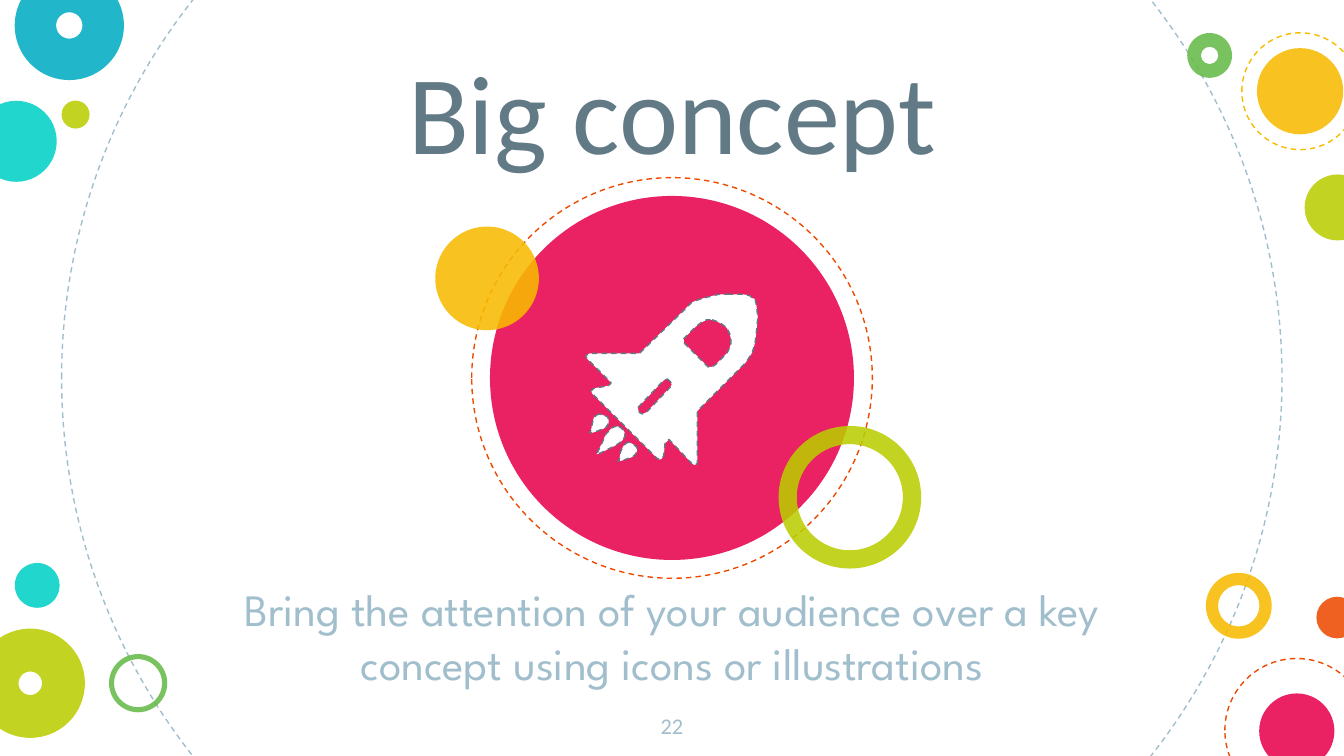
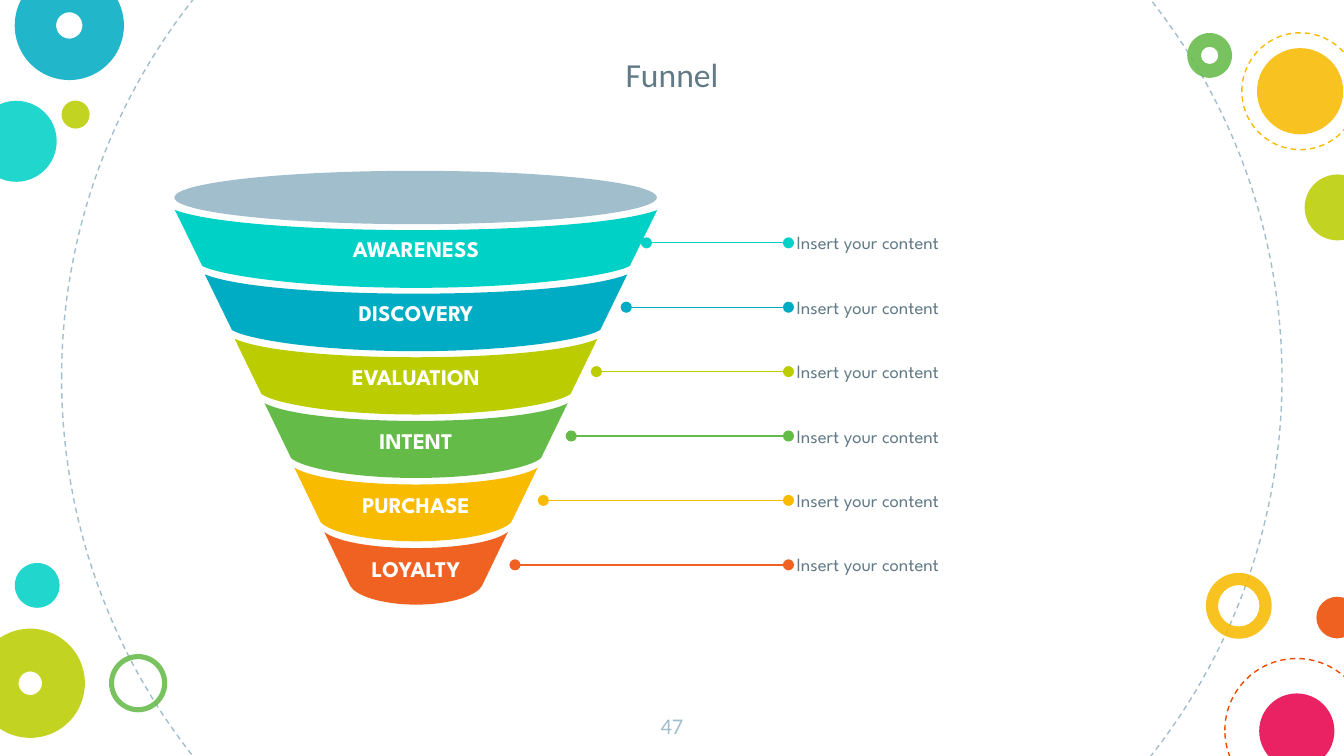
from dataclasses import dataclass
from typing import Any, NamedTuple

from lxml import etree
from pptx import Presentation
from pptx import util as u
from pptx.dml.color import RGBColor
from pptx.enum import dml, shapes, text
from pptx.oxml.ns import qn


# Theme: colours, fonts and type sizes
@dataclass(frozen=True)
class Theme:
    slate: str = "617A86"
    mist: str = "A1BECC"
    turquoise: str = "00D1C6"
    blue: str = "00ACC3"
    lime: str = "BBCD00"
    green: str = "65BB48"
    yellow: str = "F8BB00"
    red: str = "ED4A00"
    orange: str = "EF6222"
    pink: str = "E8004C"
    white: str = "FFFFFF"
    heading: str = "Calibri"
    body: str = "League Spartan"
    concept_size: float = 60
    lead_size: float = 24
    title_size: float = 18
    label_size: float = 12
    note_size: float = 10
    line_width: float = 0.75
    opacity: int = 87000


THEME = Theme()
Points = list[tuple[float, float]]


class Circle(NamedTuple):
    left: float
    top: float
    size: float
    color: str
    hole: float = 0  # ring thickness; zero means a plain disc
    dashed: bool = False


class Stage(NamedTuple):
    label: str
    color: str
    link_start: float


class Style(NamedTuple):
    font: str
    size: float
    color: str
    align: Any = text.PP_ALIGN.CENTER
    anchor: Any = text.MSO_ANCHOR.TOP
    margins: tuple[float, float] = (7.2, 7.2)
    bold: bool = False


CONCEPT = Style(THEME.heading, THEME.concept_size, THEME.slate, anchor=text.MSO_ANCHOR.BOTTOM)
TITLE = CONCEPT._replace(size=THEME.title_size)
LEAD = Style(THEME.body, THEME.lead_size, THEME.mist)
PAGE_NUMBER = Style(THEME.heading, THEME.label_size, THEME.mist)
BAND_LABEL = Style(THEME.body, THEME.label_size, THEME.white,
                   anchor=text.MSO_ANCHOR.MIDDLE, margins=(5, 2.9), bold=True)
NOTE = Style(THEME.body, THEME.note_size, THEME.slate, text.PP_ALIGN.LEFT,
             text.MSO_ANCHOR.MIDDLE, (0, 0))

BACKDROP = [
    Circle(33, -124.4, 653.8, THEME.mist, dashed=True),
    Circle(-13, 54, 43.4, THEME.turquoise),
    Circle(646, 306.9, 35.3, THEME.yellow, 0.186),
    Circle(7.9, -15.6, 58.5, THEME.blue, 0.379),
    Circle(33, 53.9, 15, THEME.lime),
    Circle(656.2, 352.8, 77, THEME.red, dashed=True),
    Circle(58.4, 350.4, 31.2, THEME.green, 0.088),
    Circle(705.2, 319.7, 22.3, THEME.red),
    Circle(-13, 336.8, 58.5, THEME.lime, 0.392),
    Circle(674.6, 371.5, 40.3, THEME.pink),
    Circle(636, 17.7, 24, THEME.green, 0.306),
    Circle(673.4, 25.8, 46.2, THEME.yellow),
    Circle(698.9, 93.5, 35.3, THEME.lime),
    Circle(665.3, 17.6, 62.6, THEME.yellow, dashed=True),
    Circle(7.9, 301.6, 24, THEME.turquoise),
]

EMBLEM = [
    Circle(262.5, 105, 195, THEME.pink),
    Circle(252.7, 95.2, 214.6, THEME.red, dashed=True),
    Circle(233.2, 121.4, 55.5, THEME.yellow),
    Circle(417.1, 228.2, 76.4, THEME.lime, 0.128),
]

# Rocket outlines on a grid of 0.72 pt cells
HULL = [(107, 0), (99, 0), (91, 2), (84, 4), (79, 6), (76, 9), (40, 44), (3, 44), (1, 45),
        (0, 46), (1, 48), (19, 66), (17, 68), (6, 70), (4, 72), (5, 74), (53, 122),
        (55, 123), (57, 122), (58, 120), (59, 111), (62, 108), (79, 126), (81, 127),
        (83, 126), (83, 124), (83, 87), (118, 52), (121, 48), (124, 43), (126, 36),
        (127, 28), (128, 17), (127, 8), (126, 4), (125, 3), (124, 3), (122, 1),
        (117, 0), (110, 0)]
WINDOW = [(94, 19), (97, 20), (101, 22), (105, 25), (107, 29), (108, 33), (108, 37),
          (107, 40), (105, 44), (97, 52), (94, 54), (91, 54), (89, 52), (75, 38),
          (73, 36), (73, 33), (75, 31), (82, 24), (86, 21), (90, 19)]
SLOT = [(61, 63), (63, 65), (64, 67), (63, 69), (45, 88), (42, 89), (40, 88), (39, 86),
        (39, 84), (40, 83), (58, 64)]
MIDDLE_FLAME = [(23, 98), (20, 99), (17, 102), (15, 104), (12, 111), (9, 117), (8, 119),
                (11, 118), (17, 115), (23, 112), (27, 109), (29, 106), (29, 103),
                (28, 101), (26, 99)]
LOWER_FLAME = [(32, 110), (30, 111), (28, 113), (26, 117), (25, 123), (24, 124), (26, 124),
               (32, 122), (35, 121), (37, 119), (38, 117), (38, 114), (36, 112), (34, 111)]
LEFT_FLAME = [(10, 89), (8, 90), (6, 92), (5, 96), (4, 101), (3, 103), (5, 103), (8, 102),
              (13, 100), (15, 99), (17, 96), (17, 93), (16, 91), (13, 90)]
ROCKET = [[HULL, WINDOW, SLOT], [MIDDLE_FLAME], [LOWER_FLAME], [LEFT_FLAME]]

STAGES = [
    Stage("AWARENESS", THEME.turquoise, 346.3),
    Stage("DISCOVERY", THEME.blue, 335.5),
    Stage("EVALUATION", THEME.lime, 319.5),
    Stage("INTENT", THEME.green, 306),
    Stage("PURCHASE", THEME.yellow, 291.1),
    Stage("LOYALTY", THEME.orange, 275.9),
]
FUNNEL_CENTER, FUNNEL_TOP, STAGE_PITCH = 222.9, 112.5, 34.5
LINK_TOP, LINK_END, NOTE_LEFT, NOTE_TOP = 130.1, 422.4, 426.8, 117.7


# Formatting helpers
def set_values(target: Any, values: dict[str, Any]) -> None:
    for name, value in values.items():
        setattr(target, name, value)


def place(box: Any, left: float, top: float, width: float, height: float) -> None:
    set_values(box, {"left": u.Pt(left), "top": u.Pt(top),
                     "width": u.Pt(width), "height": u.Pt(height)})


def write(box: Any, words: str, style: Style) -> None:
    frame = box.text_frame
    across, down = (u.Pt(margin) for margin in style.margins)
    set_values(frame, {
        "word_wrap": True, "auto_size": text.MSO_AUTO_SIZE.NONE,
        "vertical_anchor": style.anchor, "margin_left": across, "margin_right": across,
        "margin_top": down, "margin_bottom": down})
    para = frame.paragraphs[0]
    set_values(para, {"alignment": style.align, "space_before": u.Pt(0)})
    span = para.add_run()
    span.text = words
    set_values(span.font, {"name": style.font, "size": u.Pt(style.size), "bold": style.bold})
    span.font.color.rgb = RGBColor.from_string(style.color)


def paint_line(line: Any, color: str, dashed: bool = False) -> None:
    line.color.rgb = RGBColor.from_string(color)
    line.width = u.Pt(THEME.line_width)
    if dashed:
        line.dash_style = dml.MSO_LINE.DASH


def paint(shape: Any, fill: str | None, dash: str | None = None) -> None:
    shape.shadow.inherit = False
    if fill:
        shape.fill.solid()
        shape.fill.fore_color.rgb = RGBColor.from_string(fill)
    else:
        shape.fill.background()
    if dash:
        paint_line(shape.line, dash, dashed=True)
    else:
        shape.line.fill.background()


# Drawing functions
def draw_circle(page: Any, circle: Circle) -> Any:
    kind = shapes.MSO_SHAPE.DONUT if circle.hole else shapes.MSO_SHAPE.OVAL
    shape = page.shapes.add_shape(kind, u.Pt(circle.left), u.Pt(circle.top),
                                  u.Pt(circle.size), u.Pt(circle.size))
    if circle.hole:
        shape.adjustments[0] = circle.hole
    if circle.dashed:
        paint(shape, None, circle.color)
    else:
        paint(shape, circle.color)
        tint = shape.element.find(".//" + qn("a:srgbClr"))
        etree.SubElement(tint, qn("a:alpha"), val=str(THEME.opacity))
    return shape


def draw_outline(page: Any, contours: list[Points], left: float, top: float, cell: float) -> Any:
    first = contours[0]
    builder = page.shapes.build_freeform(*first[0], scale=u.Pt(cell))
    builder.add_line_segments(first[1:], close=True)
    for contour in contours[1:]:
        builder.move_to(*contour[0])
        builder.add_line_segments(contour[1:], close=True)
    return builder.convert_to_shape(u.Pt(left), u.Pt(top))


def draw_page_number(page: Any, number: int) -> None:
    box = page.shapes.add_textbox(u.Pt(341.6), u.Pt(374.4), u.Pt(36.7), u.Pt(31))
    write(box, str(number), PAGE_NUMBER)


def draw_backdrop(deck: Any, page: Any) -> None:
    """Build the circles and hand them to the master, behind its placeholders."""
    tree = deck.slide_master.shapes.element
    for index, circle in enumerate(BACKDROP):
        element = draw_circle(page, circle).element
        element.nvSpPr.cNvPr.set("id", str(100 + index))
        tree.insert(2 + index, element)


def draw_band(page: Any, index: int, top: float) -> Any:
    """Draw one funnel band: curved rim, straight right side, curved base."""
    upper, lower = 129.2 - 16 * index, 114.5 - 15.85 * index
    sag, corner, depth = 10.8 - 0.43 * index, 30 - 0.2 * index, 41.7 - 0.55 * index
    rim = [(upper, 0), (0.85 * upper, 0.67 * sag), (0.42 * upper, sag)]
    base = [(lower, corner), (0.92 * lower, corner + 5), (0.53 * lower, depth)]
    frame = ([(-x, y) for x, y in rim] + [(0, sag)] + rim[::-1]
             + base + [(0, depth)] + [(-x, y) for x, y in reversed(base)])
    band = draw_outline(page, [[(100 * x, 100 * y) for x, y in frame]],
                        FUNNEL_CENTER, top, 0.01)
    # Merge each three line steps of the rim and base into one Bezier step
    steps = list(band.element.iter(qn("a:lnTo")))
    for first in (0, 3, 7, 10):
        bend = etree.Element(qn("a:cubicBezTo"))
        steps[first].addprevious(bend)
        for step in steps[first:first + 3]:
            bend.append(step[0])
            step.getparent().remove(step)
    return band


def draw_link(page: Any, start: float, end: float, top: float, color: str) -> None:
    link = page.shapes.add_connector(shapes.MSO_CONNECTOR.STRAIGHT,
                                     u.Pt(start), u.Pt(top), u.Pt(end), u.Pt(top))
    paint_line(link.line, color)
    properties = link.element.spPr
    for end_tag in ("a:headEnd", "a:tailEnd"):
        etree.SubElement(properties.find(qn("a:ln")), qn(end_tag), type="oval")
    etree.SubElement(properties, qn("a:effectLst"))


# Slides
def build_concept(deck: Any) -> None:
    page = deck.slides.add_slide(deck.slide_layouts[0])
    draw_backdrop(deck, page)
    title, lead = page.placeholders
    place(title, 102.7, 10.8, 514.8, 91.4)
    write(title, "Big concept", CONCEPT)
    place(lead, 102.6, 304.6, 514.8, 61.9)
    write(lead, "Bring the attention of your audience over a key concept "
                "using icons or illustrations", LEAD)
    for circle in EMBLEM:
        draw_circle(page, circle)
    for contours in ROCKET:
        part = draw_outline(page, contours, 313.8, 157.7, 0.72)
        paint(part, THEME.white, THEME.slate)
    draw_page_number(page, 22)


def build_funnel(deck: Any) -> None:
    page = deck.slides.add_slide(deck.slide_layouts[5])
    title = page.shapes.title
    place(title, 152.3, 7.2, 415.4, 50.4)
    write(title, "Funnel", TITLE)
    draw_page_number(page, 47)
    # Bands with their links and notes
    for index, stage in enumerate(STAGES):
        shift = index * STAGE_PITCH
        band = draw_band(page, index, FUNNEL_TOP + shift)
        paint(band, stage.color)
        write(band, stage.label, BAND_LABEL)
        draw_link(page, stage.link_start, LINK_END, LINK_TOP + shift, stage.color)
        note = page.shapes.add_textbox(u.Pt(NOTE_LEFT), u.Pt(NOTE_TOP + shift),
                                       u.Pt(200.2), u.Pt(24.5))
        write(note, "Insert your content", NOTE)
    # Mouth of the funnel
    mouth = page.shapes.add_shape(shapes.MSO_SHAPE.OVAL, u.Pt(93.4), u.Pt(91.5),
                                  u.Pt(258.5), u.Pt(28.6))
    paint(mouth, THEME.mist)


def main() -> None:
    deck = Presentation()
    set_values(deck, {"slide_width": u.Pt(720), "slide_height": u.Pt(405)})
    build_concept(deck)
    build_funnel(deck)
    deck.save("out.pptx")


if __name__ == "__main__":
    main()
